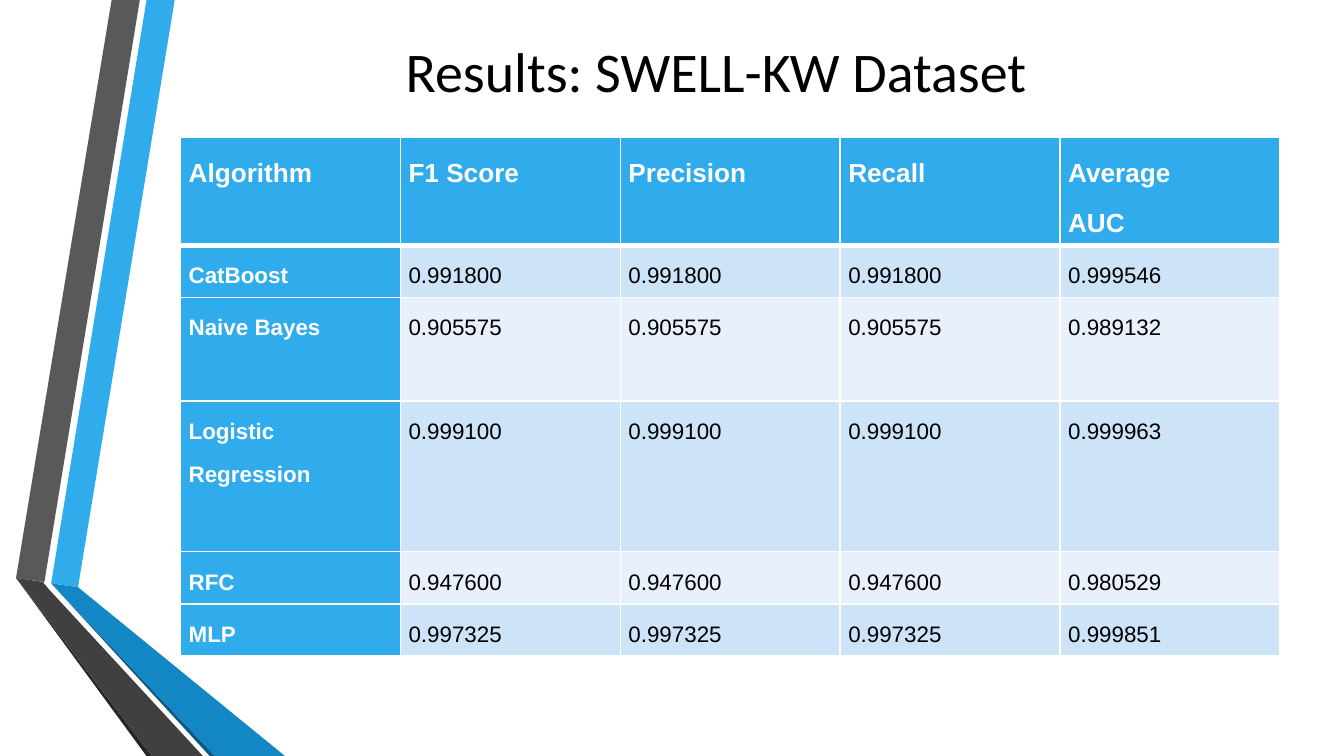
import pptx
import pptx.dml.color
import pptx.enum.text
import pptx.oxml
import pptx.oxml.ns
import pptx.util

Pt = pptx.util.Pt
RGBColor = pptx.dml.color.RGBColor
ALIGN = pptx.enum.text.PP_ALIGN
ANCHOR = pptx.enum.text.MSO_ANCHOR

BLACK = RGBColor(0x00, 0x00, 0x00)
WHITE = RGBColor(0xFF, 0xFF, 0xFF)
BLUE = RGBColor(0x30, 0xAC, 0xEC)
MID_BLUE = RGBColor(0x12, 0x87, 0xC3)
DEEP_BLUE = RGBColor(0x0C, 0x5A, 0x82)
GRAY = RGBColor(0x59, 0x59, 0x59)
DARK_GRAY = RGBColor(0x40, 0x40, 0x40)
CHARCOAL = RGBColor(0x26, 0x26, 0x26)
BAND_DARK = RGBColor(0xCD, 0xE3, 0xF8)
BAND_LIGHT = RGBColor(0xE8, 0xF1, 0xFB)


def format_run(r, font, size, color, bold=False):
    r.font.name = font
    r.font.size = Pt(size)
    r.font.color.rgb = color
    r.font.bold = bold


def add_border(cell, side, width):
    """Add a white line to one side (L, R, T or B); call before filling the cell."""
    cell._tc.get_or_add_tcPr().append(pptx.oxml.parse_xml(
        f'<a:ln{side} {pptx.oxml.ns.nsdecls("a")} w="{Pt(width)}">'
        f'<a:solidFill><a:srgbClr val="{WHITE}"/></a:solidFill></a:ln{side}>'))


prs = pptx.Presentation()
prs.slide_width, prs.slide_height = Pt(720), Pt(405)
s = prs.slides.add_slide(prs.slide_layouts[6])

# Folded ribbons along the left edge
ribbons = [
    (BLUE, [(27.4, 312.5), (41.8, 314.6), (93.6, 0), (78.5, 0)]),
    (GRAY, [(74.9, 0), (59.8, 0), (8.6, 309.6), (23.8, 311.8)]),
    (CHARCOAL, [(8.6, 309.6), (78.5, 405), (81.4, 405)]),
    (DEEP_BLUE, [(27.4, 312.5), (112.3, 405), (115.2, 405)]),
    (MID_BLUE, [(27.4, 312.5), (115.2, 405), (152.6, 405), (41.8, 314.6)]),
    (DARK_GRAY, [(108.7, 405), (25.9, 315.4), (23, 311.8), (8.6, 309.6), (81.4, 405)]),
]
for color, points in ribbons:
    # Vertices are given in hundredths of a point
    points = [(x * 100, y * 100) for x, y in points]
    builder = s.shapes.build_freeform(*points[0], scale=Pt(1) / 100)
    builder.add_line_segments(points[1:], close=True)
    sp = builder.convert_to_shape()
    sp.shadow.inherit = False
    sp.fill.solid()
    sp.fill.fore_color.rgb = color
    sp.line.fill.background()

# Title
sp = s.shapes.add_textbox(Pt(87.8), Pt(14.4), Pt(591.8), Pt(46.8))
tf = sp.text_frame
tf.word_wrap = True
tf.vertical_anchor = ANCHOR.MIDDLE
p = tf.paragraphs[0]
p.text = "Results: SWELL-KW Dataset"
p.alignment = ALIGN.CENTER
format_run(p.runs[0], "Calibri", 30, BLACK)

# Results table
rows = [
    ("Algorithm", "F1 Score", "Precision", "Recall", "Average\vAUC"),
    ("CatBoost", "0.991800", "0.991800", "0.991800", "0.999546"),
    ("Naive Bayes", "0.905575", "0.905575", "0.905575", "0.989132"),
    ("Logistic Regression", "0.999100", "0.999100", "0.999100", "0.999963"),
    ("RFC", "0.947600", "0.947600", "0.947600", "0.980529"),
    ("MLP", "0.997325", "0.997325", "0.997325", "0.999851"),
]
row_heights = [55.6, 28, 55.6, 80.6, 28, 28]
column_width = 117.8
table = s.shapes.add_table(
    len(rows), len(rows[0]), Pt(96.8), Pt(73.6),
    Pt(column_width * len(rows[0])), Pt(sum(row_heights))).table
for column in table.columns:
    column.width = Pt(column_width)

for i, (values, height) in enumerate(zip(rows, row_heights)):
    table.rows[i].height = Pt(height)
    for j, value in enumerate(values):
        cell = table.cell(i, j)
        heading = i == 0 or j == 0
        for side in "LRTB":
            thick = (i == 0 and side == "B") or (i == 1 and side == "T")
            add_border(cell, side, 3 if thick else 1)
        cell.fill.solid()
        cell.fill.fore_color.rgb = BLUE if heading else BAND_DARK if i % 2 else BAND_LIGHT
        cell.margin_left = cell.margin_right = Pt(4.3)
        cell.margin_top = cell.margin_bottom = 0
        p = cell.text_frame.paragraphs[0]
        p.text = value
        p.alignment = ALIGN.JUSTIFY
        p.line_spacing = 1.72
        p.space_before = Pt(0.1)
        for r in p.runs:
            format_run(r, "Arial", 14 if i == 0 else 12, WHITE if heading else BLACK, heading)

prs.save("out.pptx")
